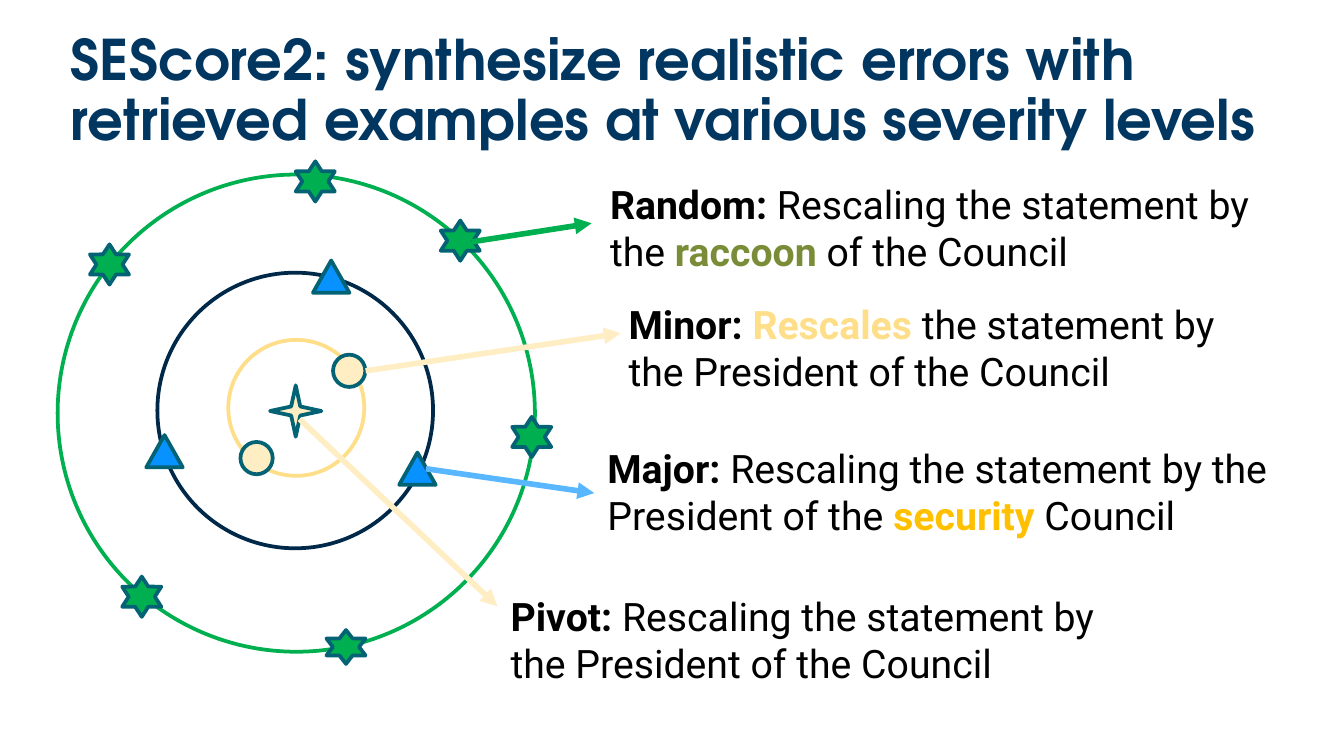
from lxml.etree import SubElement
from pptx import Presentation
from pptx.dml.color import RGBColor
from pptx.enum.shapes import MSO_CONNECTOR, MSO_SHAPE
from pptx.enum.text import MSO_ANCHOR, MSO_AUTO_SIZE
from pptx.oxml.ns import qn
from pptx.util import Cm, Pt

THEME = {
    "white": "FFFFFF", "black": "000000", "title": "003660", "outline": "036273",
    "green": "00B050", "navy": "002848", "yellow": "FEDE88", "cream": "FFEEC3",
    "blue": "0792FF", "sky": "59B7FF", "olive": "798D38", "gold": "FFC000",
    "title_font": "TeX Gyre Adventor", "title_size": 30,
    "body_font": "Roboto", "body_size": 21,
    "outline_width": 2, "arrow_width": 3,
}

TITLE = "SEScore2: synthesize realistic errors with retrieved examples at various severity levels"
TITLE_BOX = (1.09, 0.48, 23.22, 1.24)

# Severity rings, outside in: centre x, centre y, diameter (cm), line colour
RINGS = [
    (5.6, 7.81, 9.02, "green"),
    (5.58, 7.76, 5.21, "navy"),
    (5.6, 7.71, 2.57, "yellow"),
]

# Sentence markers: preset, fill colour, list of (centre x, centre y, width, height)
STAR, TRIANGLE, DOT = (0.74, 0.76), (0.69, 0.61), (0.61, 0.61)
MARKERS = [
    (MSO_SHAPE.STAR_4_POINT, "cream", [(5.59, 7.77, 0.97, 0.97)]),
    (MSO_SHAPE.STAR_6_POINT, "green", [
        (8.7, 4.55, *STAR), (10.05, 8.26, *STAR), (2.68, 11.28, *STAR),
        (2.07, 5.0, *STAR), (5.96, 3.43, *STAR), (6.54, 12.23, 0.74, 0.64)]),
    (MSO_SHAPE.ISOSCELES_TRIANGLE, "blue", [
        (6.26, 5.23, *TRIANGLE), (7.89, 8.86, *TRIANGLE), (3.11, 8.53, *TRIANGLE)]),
    (MSO_SHAPE.OVAL, "cream", [(6.6, 7.01, *DOT), (4.85, 8.66, *DOT)]),
]

# Examples: text box left, top, width; arrow start, end, colour;
# runs of (text, bold, colour)
EXAMPLE_HEIGHT = 2.06
EXAMPLES = [
    {"box": (11.28, 3.28, 13.06), "arrow": (8.92, 4.57, 11.18, 4.22), "color": "green",
     "runs": [("Random:", True, "black"),
              (" Rescaling the statement by the ", False, "black"),
              ("raccoon", True, "olive"),
              (" of the Council", False, "black")]},
    {"box": (11.63, 5.56, 12.04), "arrow": (6.91, 7.01, 11.73, 6.3), "color": "cream",
     "runs": [("Minor:", True, "black"),
              (" Rescales", True, "yellow"),
              (" the statement by the President of the Council", False, "black")]},
    {"box": (11.23, 8.28, 13.39), "arrow": (8.05, 8.86, 11.23, 9.32), "color": "sky",
     "runs": [("Major: ", True, "black"),
              ("Rescaling the statement by the President of the ", False, "black"),
              ("security", True, "gold"),
              (" Council", False, "black")]},
    {"box": (9.4, 11.07, 12.7), "arrow": (5.66, 7.92, 9.4, 11.46), "color": "cream",
     "runs": [("Pivot: ", True, "black"),
              ("Rescaling the statement by the President of the Council", False, "black")]},
]


def color(name):
    return RGBColor.from_string(THEME[name])


def add_centred(slide, preset, x, y, width, height, fill, line):
    shape = slide.shapes.add_shape(
        preset, Cm(x - width / 2), Cm(y - height / 2), Cm(width), Cm(height))
    shape.shadow.inherit = False
    shape.fill.solid()
    shape.fill.fore_color.rgb = color(fill)
    shape.line.color.rgb = color(line)
    shape.line.width = Pt(THEME["outline_width"])


def add_arrow(slide, ends, line):
    arrow = slide.shapes.add_connector(MSO_CONNECTOR.STRAIGHT, *map(Cm, ends))
    arrow.line.color.rgb = color(line)
    arrow.line.width = Pt(THEME["arrow_width"])
    SubElement(arrow.line._get_or_add_ln(), qn("a:tailEnd"), type="triangle")
    SubElement(arrow._element.spPr, qn("a:effectLst"))


def add_text(slide, box, runs, role, frame_format, line_spacing=1.0):
    frame = slide.shapes.add_textbox(*map(Cm, box)).text_frame
    for name, value in frame_format.items():
        setattr(frame, name, value)
    paragraph = frame.paragraphs[0]
    paragraph.line_spacing = line_spacing
    for text, bold, ink in runs:
        run = paragraph.add_run()
        run.text = text
        font_format = {"name": THEME[role + "_font"],
                       "size": Pt(THEME[role + "_size"]), "bold": bold}
        for name, value in font_format.items():
            setattr(run.font, name, value)
        run.font.color.rgb = color(ink)


def main():
    deck = Presentation()
    deck.slide_width, deck.slide_height = Cm(25.4), Cm(14.29)
    slide = deck.slides.add_slide(deck.slide_layouts[6])
    frame_format = {"word_wrap": True, "vertical_anchor": MSO_ANCHOR.TOP}

    # Title
    add_text(slide, TITLE_BOX, [(TITLE, True, "title")], "title",
             {**frame_format, "auto_size": MSO_AUTO_SIZE.NONE}, 0.9)

    # Rings, then the markers on them
    for x, y, diameter, line in RINGS:
        add_centred(slide, MSO_SHAPE.OVAL, x, y, diameter, diameter, "white", line)
    for preset, fill, places in MARKERS:
        for place in places:
            add_centred(slide, preset, *place, fill, "outline")

    # Examples with their arrows
    for example in EXAMPLES:
        add_arrow(slide, example["arrow"], example["color"])
        add_text(slide, (*example["box"], EXAMPLE_HEIGHT), example["runs"], "body",
                 {**frame_format, "auto_size": MSO_AUTO_SIZE.SHAPE_TO_FIT_TEXT})

    deck.save("out.pptx")


if __name__ == "__main__":
    main()
